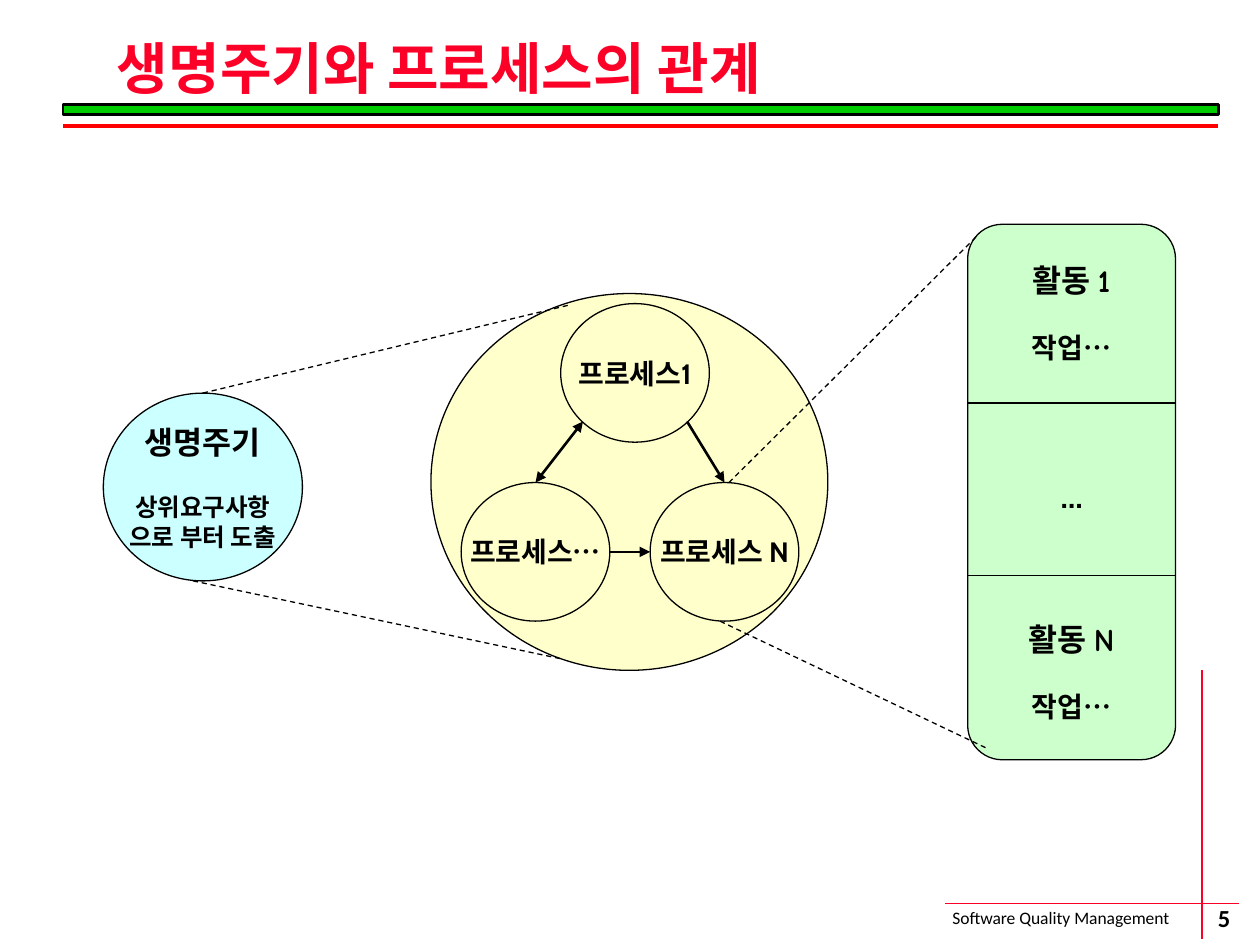
import pptx
import pptx.util
import pptx.oxml
import pptx.oxml.ns
from pptx.dml.color import RGBColor
from pptx.enum.dml import MSO_LINE
from pptx.enum.shapes import MSO_CONNECTOR, MSO_SHAPE
from pptx.enum.text import MSO_ANCHOR, PP_ALIGN

THEME = {
    "ink": "000000", "accent": "FC0128", "rule": "FF0000", "bar": "00CC00",
    "cycle": "CCFFFF", "process": "FFFFCC", "activity": "CCFFCC",
    "title": 32, "head": 18, "body": 16, "note": 14, "footer": 10,
    "thin": 0.75, "fine": 1, "medium": 1.5, "thick": 2.25,
    "plain": "Calibri", "korean": "Noto Sans CJK KR",
    "round": "Cabin", "comic": "Comic Neue",
}
COLS, ROWS = 100, 75  # grid laid over the 10 x 7.5 inch slide

# Text: (wording, size, font, space before in points)
TITLE = [("생명주기와 프로세스의 관계", "title", "plain", 0)]
FOOTER = [("Software Quality Management", "footer", "plain", 0)]
NUMBER = [("5", "note", "plain", 0)]
CYCLE_TEXT = [
    ("생명주기", "head", "korean", 0),
    ("상위요구사항", "note", "korean", 18),
    ("으로 부터 도출", "note", "korean", 0),
]
ACTIVITY_TEXT = [
    ("활동 1", "head", "comic", 0),
    ("작업…", "body", "comic", 18),
    ("…", "head", "round", 65),
    ("활동 N", "head", "comic", 60),
    ("작업…", "body", "comic", 18),
]

# Boxes: left, top, width, height in grid units
CYCLE = (8.2, 31.2, 15.8, 14.9)
WHOLE = (34.2, 23.3, 31.5, 29.9)
SIZE = (11.8, 11)
FIRST, LAST, MIDDLE = [(x, y, *SIZE) for x, y in
                       ((44.5, 24.1), (51.6, 38.3), (36.6, 38.3))]
PROCESSES = [(FIRST, "프로세스1"), (LAST, "프로세스 N"), (MIDDLE, "프로세스…")]
ACTIVITY = (76.8, 17.8, 16.5, 42.5)
CORNER = 1 / 6
DIVIDERS = (0.334, 0.656)


def on(box, across, down):
    """Point at the given shares of a box."""
    left, top, width, height = box
    return left + across * width, top + down * height


# Lines: start, end, arrowheads
ARROWS = [
    (on(FIRST, 0.15, 0.85), on(MIDDLE, 0.5, 0), ("headEnd", "tailEnd")),
    (on(MIDDLE, 1, 0.5), on(LAST, 0, 0.5), ("tailEnd",)),
    (on(FIRST, 0.85, 0.85), on(LAST, 0.5, 0), ("tailEnd",)),
]
ZOOMS = [
    (on(CYCLE, 0.5, 0), on(WHOLE, 0.35, 0.03)),
    (on(CYCLE, 0.45, 1), on(WHOLE, 0.33, 0.97)),
    (on(LAST, 0.53, 0), on(ACTIVITY, 0.05, 0.02)),
    (on(LAST, 0.47, 1), on(ACTIVITY, 0.1, 0.98)),
]

prs = pptx.Presentation()
prs.slide_width, prs.slide_height = pptx.util.Inches(10), pptx.util.Inches(7.5)
s = prs.slides.add_slide(prs.slide_layouts[6])


def x(col):
    return round(prs.slide_width * col / COLS)


def y(row):
    return round(prs.slide_height * row / ROWS)


def place(box):
    left, top, width, height = box
    return x(left), y(top), x(width), y(height)


def color(name):
    return RGBColor.from_string(THEME[name])


def apply(target, values):
    for name, value in values.items():
        setattr(target, name, value)


def write(sp, lines, ink="ink", align=PP_ALIGN.CENTER, bold=True,
          spacing=None, **frame):
    tf = sp.text_frame
    apply(tf, {"word_wrap": False, "vertical_anchor": MSO_ANCHOR.MIDDLE,
               **frame})
    for i, (words, size, font, before) in enumerate(lines):
        p = tf.add_paragraph() if i else tf.paragraphs[0]
        apply(p, {"alignment": align, "line_spacing": spacing,
                  "space_before": pptx.util.Pt(before)})
        r = p.add_run()
        r.text = words
        apply(r.font, {"name": THEME[font], "bold": bold,
                       "size": pptx.util.Pt(THEME[size])})
        r.font.color.rgb = color(ink)
        # Hangul takes the East Asian font
        if any("가" <= ch <= "힣" for ch in words):
            ea = pptx.oxml.parse_xml(
                f'<a:ea {pptx.oxml.ns.nsdecls("a")} typeface="{THEME["korean"]}"/>')
            r.font._element.append(ea)


def shape(kind, box, fill, weight="thin"):
    sp = s.shapes.add_shape(kind, *place(box))
    sp.shadow.inherit = False
    sp.fill.solid()
    sp.fill.fore_color.rgb = color(fill)
    sp.line.color.rgb = color("ink")
    sp.line.width = pptx.util.Pt(THEME[weight])
    return sp


def line(start, end, ink="ink", weight="thin", dash=None, heads=()):
    c = s.shapes.add_connector(MSO_CONNECTOR.STRAIGHT, x(start[0]),
                               y(start[1]), x(end[0]), y(end[1]))
    c.line.color.rgb = color(ink)
    apply(c.line, {"width": pptx.util.Pt(THEME[weight]), "dash_style": dash})
    ns = pptx.oxml.ns.nsdecls("a")
    for head in heads:
        c.line._get_or_add_ln().append(
            pptx.oxml.parse_xml(f'<a:{head} {ns} type="triangle"/>'))
    c._element.spPr.append(pptx.oxml.parse_xml(f"<a:effectLst {ns}/>"))


def textbox(box, lines, **style):
    write(s.shapes.add_textbox(*place(box)), lines, **style)


# Footer
line((75, 71.7), (98.3, 71.7), "accent", "fine")
line((95.4, 53.2), (95.4, 74.5), "accent", "fine")
textbox((74.6, 71.5, 21.9, 2.7), FOOTER, align=PP_ALIGN.LEFT, bold=False,
        vertical_anchor=MSO_ANCHOR.TOP)
textbox((92.2, 71.4, 9.9, 2.8), NUMBER, margin_left=0, margin_right=0,
        margin_top=0, margin_bottom=0)

# Title and its rules
shape(MSO_SHAPE.RECTANGLE, (5, 8.3, 91.7, 0.8), "bar", "medium")
line((5, 10), (96.7, 10), "rule", "thick")
textbox((8.3, 3.3, 88.1, 4.8), TITLE, ink="accent", align=PP_ALIGN.LEFT,
        spacing=0.9, word_wrap=True)

# Life cycle
write(shape(MSO_SHAPE.OVAL, CYCLE, "cycle"), CYCLE_TEXT)

# Processes
shape(MSO_SHAPE.OVAL, WHOLE, "process")
for box, name in PROCESSES:
    write(shape(MSO_SHAPE.OVAL, box, "process"), [(name, "body", "round", 0)])
for start, end, heads in ARROWS:
    line(start, end, weight="medium", heads=heads)

# Activities
sp = shape(MSO_SHAPE.ROUNDED_RECTANGLE, ACTIVITY, "activity")
sp.adjustments[0] = CORNER
write(sp, ACTIVITY_TEXT)
for share in DIVIDERS:
    line(on(ACTIVITY, 0, share), on(ACTIVITY, 1, share))

# Dashed lines that open each part into the next
for start, end in ZOOMS:
    line(start, end, dash=MSO_LINE.DASH)

prs.save("out.pptx")
